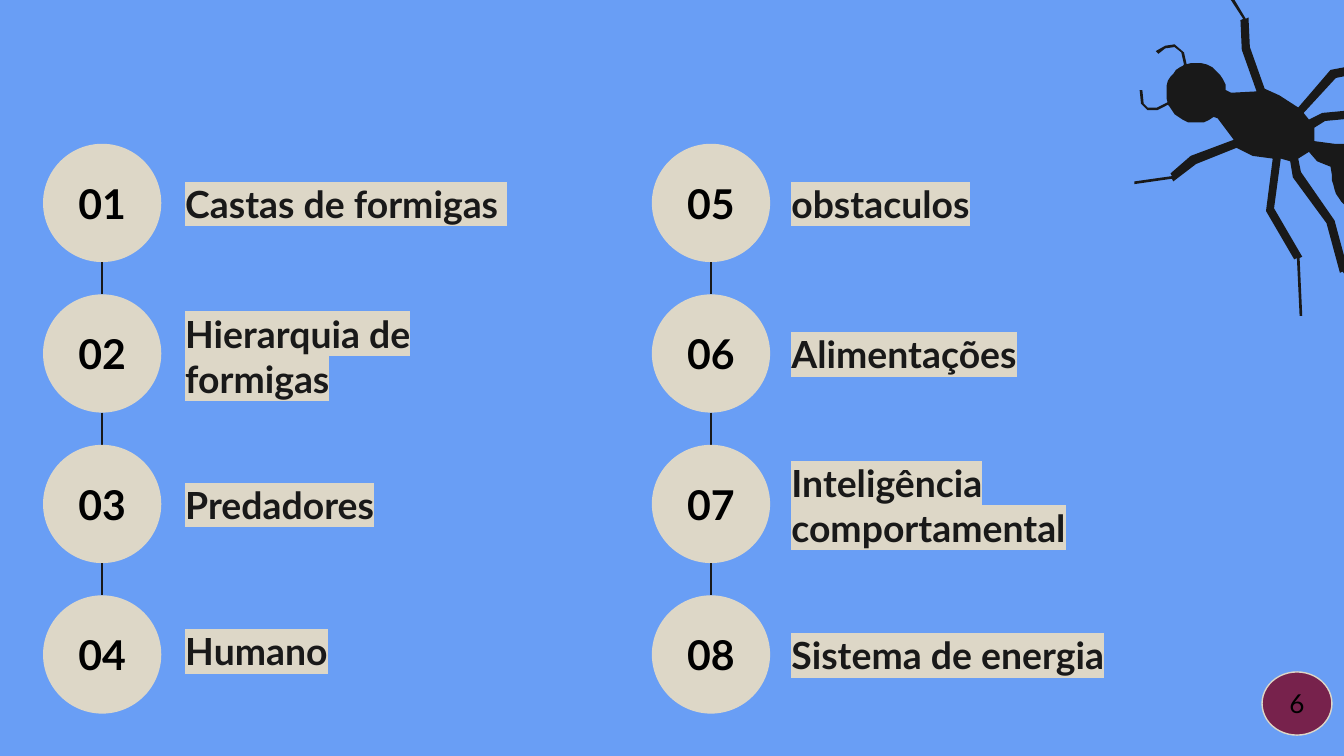
import math

from lxml import etree
from pptx import Presentation
from pptx import util as u
from pptx.dml.color import RGBColor
from pptx.enum import shapes, text
from pptx.oxml.ns import qn

Pt = u.Pt
BLUE = RGBColor(0x69, 0x9E, 0xF5)
SAND = RGBColor(0xDD, 0xD7, 0xC7)
INK = RGBColor(0x19, 0x19, 0x19)
BLACK = RGBColor(0, 0, 0)
WINE = RGBColor(0x77, 0x22, 0x4C)


def set_text(sp, value, size, color, bold, anchor, align):
    tf = sp.text_frame
    tf.word_wrap = True
    tf.vertical_anchor = anchor
    tf.margin_left = tf.margin_right = tf.margin_top = tf.margin_bottom = Pt(7.2)
    p = tf.paragraphs[0]
    p.text = value
    p.alignment = align
    r = p.runs[0]
    r.font.size = Pt(size)
    r.font.bold = bold
    r.font.color.rgb = color
    r.font.name = "Lato"
    return r


def add_disc(left, top, width, height, fill, value, size, bold):
    sp = s.shapes.add_shape(shapes.MSO_SHAPE.OVAL, Pt(left), Pt(top), Pt(width), Pt(height))
    sp.shadow.inherit = False
    sp.fill.solid()
    sp.fill.fore_color.rgb = fill
    sp.line.fill.background()
    set_text(sp, value, size, BLACK, bold, text.MSO_ANCHOR.MIDDLE, text.PP_ALIGN.CENTER)
    return sp


prs = Presentation()
prs.slide_width, prs.slide_height = Pt(720), Pt(405)
s = prs.slides.add_slide(prs.slide_layouts[6])
s.background.fill.solid()
s.background.fill.fore_color.rgb = BLUE

# Ant outline in units of 0.72 pt, walked once around the body:
# arcs are centre, radius, start and end angle; limbs are centre lines
HEAD = (890, 69, 22.5)
ANT = [
    ("arc", (*HEAD, -5, -110)),
    ("feeler", [(882, 48), (880, 39), (874, 34), (867, 35), (861, 39)]),
    ("arc", (*HEAD, -115, -200)),
    ("feeler", [(869, 77), (861, 81), (854, 81), (850, 77), (849, 67)]),
    ("arc", (*HEAD, -205, -305)),
    ("body", [(906, 88)]),
    ("leg", [(919, 107), (888, 119), (872, 132), (844, 136)]),
    ("body", [(932, 116)]),
    ("leg", [(950, 118), (945, 156), (966, 192), (968, 235)]),
    ("leg", [(963, 119), (965, 130), (990, 165), (1000, 202), (1031, 247)]),
    ("body", [(974, 113), (980, 120), (990, 124)]),
    ("arc", (1023, 130, 32, 180, 115)),
    ("arc", (1048, 143, 32, 115, -65)),
    ("arc", (1023, 130, 32, -65, -135)),
    ("body", [(993, 107), (978, 105)]),
    ("leg", [(976, 92), (985, 87), (1028, 83), (1062, 67), (1117, 61)]),
    ("leg", [(968, 82), (992, 55), (1033, 47), (1066, 21)]),
    ("body", [(952, 71)]),
    ("leg", [(938, 67), (927, 36), (926, 14), (911, -10)]),
    ("body", [(916, 69)]),
]
STEPS = 10
outline = []
for kind, part in ANT:
    if kind == "body":
        outline += part
    elif kind == "arc":
        cx, cy, radius, start, end = part
        for i in range(STEPS + 1):
            angle = math.radians(start + (end - start) * i / STEPS)
            outline.append((cx + radius * math.cos(angle), cy + radius * math.sin(angle)))
    else:
        # Offset the centre line to both sides; a leg ends in a thin foot
        near, far = [], []
        last = len(part) - 1
        for i, (x, y) in enumerate(part):
            x0, y0 = part[max(i - 1, 0)]
            x1, y1 = part[min(i + 1, last)]
            length = math.hypot(x1 - x0, y1 - y0)
            nx, ny = (y0 - y1) / length, (x1 - x0) / length
            widths = [1] if kind == "feeler" or i == last else [3.3]
            if kind == "leg" and i == last - 1:
                widths.append(1)
            for w in widths:
                near.append((x + w * nx, y + w * ny))
                far.append((x - w * nx, y - w * ny))
        outline += near + far[::-1]
builder = s.shapes.build_freeform(*outline[0], scale=Pt(0.72))
builder.add_line_segments(outline[1:], close=True)
ant = builder.convert_to_shape()
ant.shadow.inherit = False
ant.fill.solid()
ant.fill.fore_color.rgb = INK
ant.line.fill.background()

# Two columns of topics: disc left, label left, (label, drop below disc top, width)
DISC, TOP, PITCH, LABEL_H, DROP = 63.36, 77.04, 80.64, 38.88, 12.24
COLUMNS = [
    (23.04, 92.16, [("Castas de formigas ", DROP, 230.4),
                    ("Hierarquia de formigas", 25.2, 189.36),
                    ("Predadores", DROP, 177.84),
                    ("Humano", 10.08, 143.28)]),
    (349.2, 416.88, [("obstaculos", DROP, 177.84),
                     ("Alimentações", DROP, 177.84),
                     ("Inteligência comportamental", 24.48, 230.4),
                     ("Sistema de energia", DROP, 230.4)]),
]
number = 0
for disc_left, label_left, topics in COLUMNS:
    for row, (label, drop, width) in enumerate(topics):
        number += 1
        top = TOP + row * PITCH
        add_disc(disc_left, top, DISC, DISC, SAND, f"{number:02d}", 22, True)

        # Highlighted label
        sp = s.shapes.add_textbox(Pt(label_left), Pt(top + drop), Pt(width), Pt(LABEL_H))
        r = set_text(sp, label, 20, INK, True, text.MSO_ANCHOR.BOTTOM, text.PP_ALIGN.LEFT)
        highlight = etree.Element(qn("a:highlight"))
        etree.SubElement(highlight, qn("a:srgbClr")).set("val", str(SAND))
        r.font._element.find(qn("a:solidFill")).addnext(highlight)

        # Link to the next disc
        if row < len(topics) - 1:
            x = Pt(disc_left + DISC / 2)
            link = s.shapes.add_connector(shapes.MSO_CONNECTOR.STRAIGHT,
                                          x, Pt(top + DISC), x, Pt(top + PITCH))
            link.line.color.rgb = INK
            link.line.width = Pt(0.75)
            etree.SubElement(link._element.spPr, qn("a:effectLst"))

# Page number badge
badge = add_disc(676.08, 360, 37.44, 33.84, WINE, "6", 14, False)
badge.line.color.rgb = SAND
badge.line.width = Pt(0.75)

prs.save("out.pptx")
